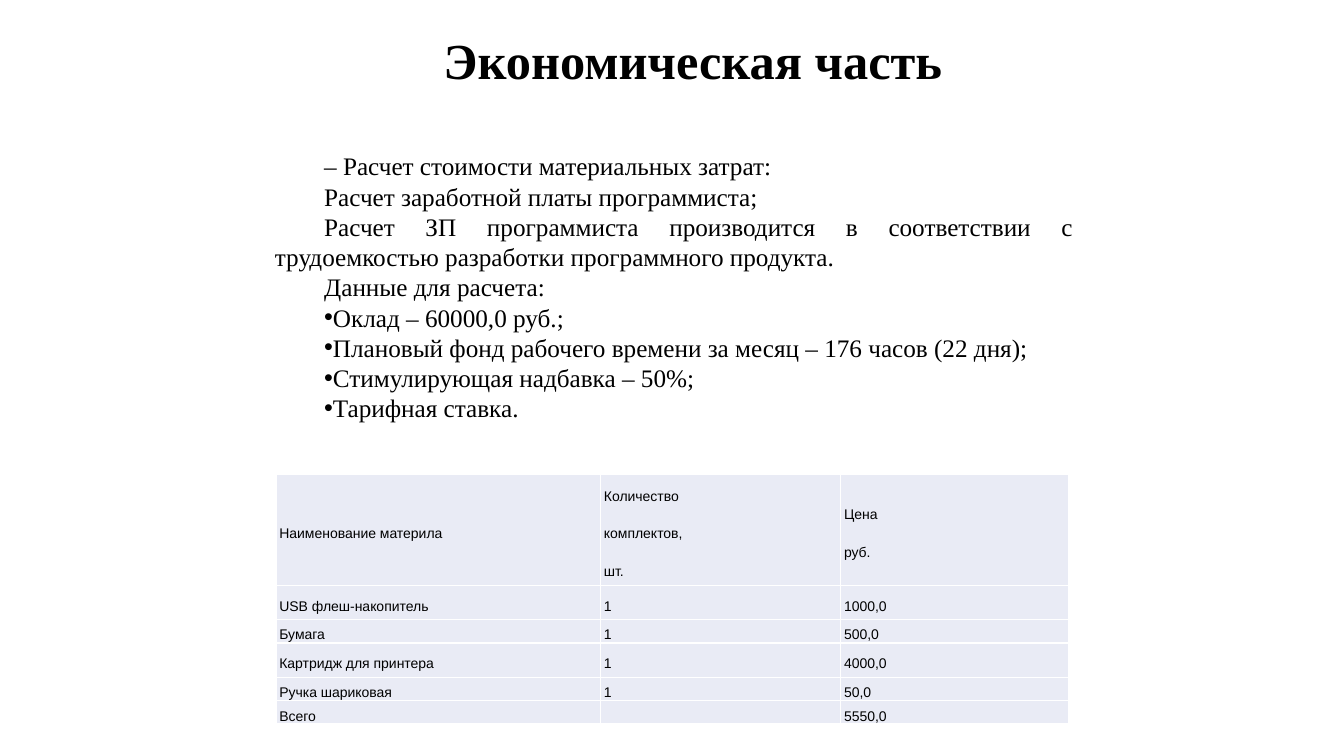
import dataclasses

import lxml.etree
import pptx
import pptx.dml.color
import pptx.enum.text
import pptx.oxml.ns
import pptx.util

Cm = pptx.util.Cm
Pt = pptx.util.Pt
qn = pptx.oxml.ns.qn
Align = pptx.enum.text.PP_ALIGN
Anchor = pptx.enum.text.MSO_ANCHOR
AutoSize = pptx.enum.text.MSO_AUTO_SIZE


@dataclasses.dataclass(frozen=True)
class Theme:
    ink: str = "000000"
    cell: str = "E9EBF5"
    border: str = "FFFFFF"
    serif: str = "Times New Roman"
    sans: str = "Arial"
    title: int = 36
    body: int = 18
    table: int = 10


theme = Theme()


def write(para, text, face, size, bold=False):
    span = para.add_run()
    span.text = text
    span.font.name = face
    span.font.size = Pt(size)
    span.font.bold = bold
    span.font.color.rgb = pptx.dml.color.RGBColor.from_string(theme.ink)


def add_xml(parent, tag, **attributes):
    child = lxml.etree.SubElement(parent, qn(tag))
    for name, value in attributes.items():
        child.set(name, str(value))
    return child


deck = pptx.Presentation()
deck.slide_width = Cm(33.87)
deck.slide_height = Cm(19.05)
page = deck.slides.add_slide(deck.slide_layouts[5])

title = page.shapes.title
title.left, title.top, title.width, title.height = Cm(6.55), Cm(0.33), Cm(21.82), Cm(3.68)
frame = title.text_frame
frame.auto_size = AutoSize.NONE
frame.vertical_anchor = Anchor.MIDDLE
frame.margin_bottom = Cm(1.27)
para = frame.paragraphs[0]
para.alignment = Align.CENTER
para.line_spacing = 0.9
write(para, "Экономическая часть", theme.serif, theme.title, True)

column_widths = [8.18, 6.05, 5.74]
row_heights = [2.79, 0.86, 0.53, 0.86, 0.53, 0.53]
materials = [
    [["Наименование материла"], ["Количество", "комплектов,", "шт."], ["Цена ", "руб."]],
    [["USB флеш-накопитель"], ["1"], ["1000,0"]],
    [["Бумага"], ["1"], ["500,0"]],
    [["Картридж для принтера"], ["1"], ["4000,0"]],
    [["Ручка шариковая"], ["1"], ["50,0"]],
    [["Всего"], [], ["5550,0"]],
]
table = page.shapes.add_table(
    len(row_heights), len(column_widths),
    Cm(6.96), Cm(11.96), Cm(sum(column_widths)), Cm(sum(row_heights)),
).table
table.first_row = False
table.horz_banding = False
for column, width in zip(table.columns, column_widths):
    column.width = Cm(width)
for row, height, values in zip(table.rows, row_heights, materials):
    row.height = Cm(height)
    for cell, lines in zip(row.cells, values):
        cell.margin_left = cell.margin_right = Cm(0.08)
        cell.margin_top = cell.margin_bottom = 0
        cell.vertical_anchor = Anchor.MIDDLE
        properties = cell._tc.get_or_add_tcPr()
        for side in ("a:lnL", "a:lnR", "a:lnT", "a:lnB"):
            border = add_xml(properties, side, w=Pt(1))
            add_xml(add_xml(border, "a:solidFill"), "a:srgbClr", val=theme.border)
        cell.fill.solid()
        cell.fill.fore_color.rgb = pptx.dml.color.RGBColor.from_string(theme.cell)
        frame = cell.text_frame
        for index, line in enumerate(lines):
            para = frame.add_paragraph() if index else frame.paragraphs[0]
            para.alignment = Align.JUSTIFY
            para.line_spacing = 1.5
            para.space_after = Pt(10)
            write(para, line, theme.sans, theme.table)
        if not lines:
            add_xml(frame.paragraphs[0]._p, "a:endParaRPr", sz=theme.table * 100)

statements = [
    ("– Расчет стоимости материальных затрат:", False),
    ("Расчет заработной платы программиста;", False),
    ("Расчет ЗП программиста производится в соответствии с трудоемкостью "
     "разработки программного продукта.", False),
    ("Данные для расчета:", False),
    ("Оклад – 60000,0 руб.;", True),
    ("Плановый фонд рабочего времени за месяц – 176 часов (22 дня);", True),
    ("Стимулирующая надбавка – 50%;", True),
    ("Тарифная ставка.", True),
]
box = page.shapes.add_textbox(Cm(6.68), Cm(3.63), Cm(20.62), Cm(7.19))
frame = box.text_frame
frame.word_wrap = True
frame.auto_size = AutoSize.SHAPE_TO_FIT_TEXT
frame.vertical_anchor = Anchor.MIDDLE
for index, (text, bulleted) in enumerate(statements):
    para = frame.add_paragraph() if index else frame.paragraphs[0]
    para.alignment = Align.JUSTIFY
    properties = para._p.get_or_add_pPr()
    properties.set("marL", "0")
    properties.set("indent", str(Cm(1.24)))
    if bulleted:
        add_xml(properties, "a:buFont", typeface=theme.sans)
        add_xml(properties, "a:buChar", char="•")
    add_xml(add_xml(properties, "a:tabLst"), "a:tab", pos=Cm(2.13), algn="l")
    write(para, text, theme.serif, theme.body)

deck.save("out.pptx")
